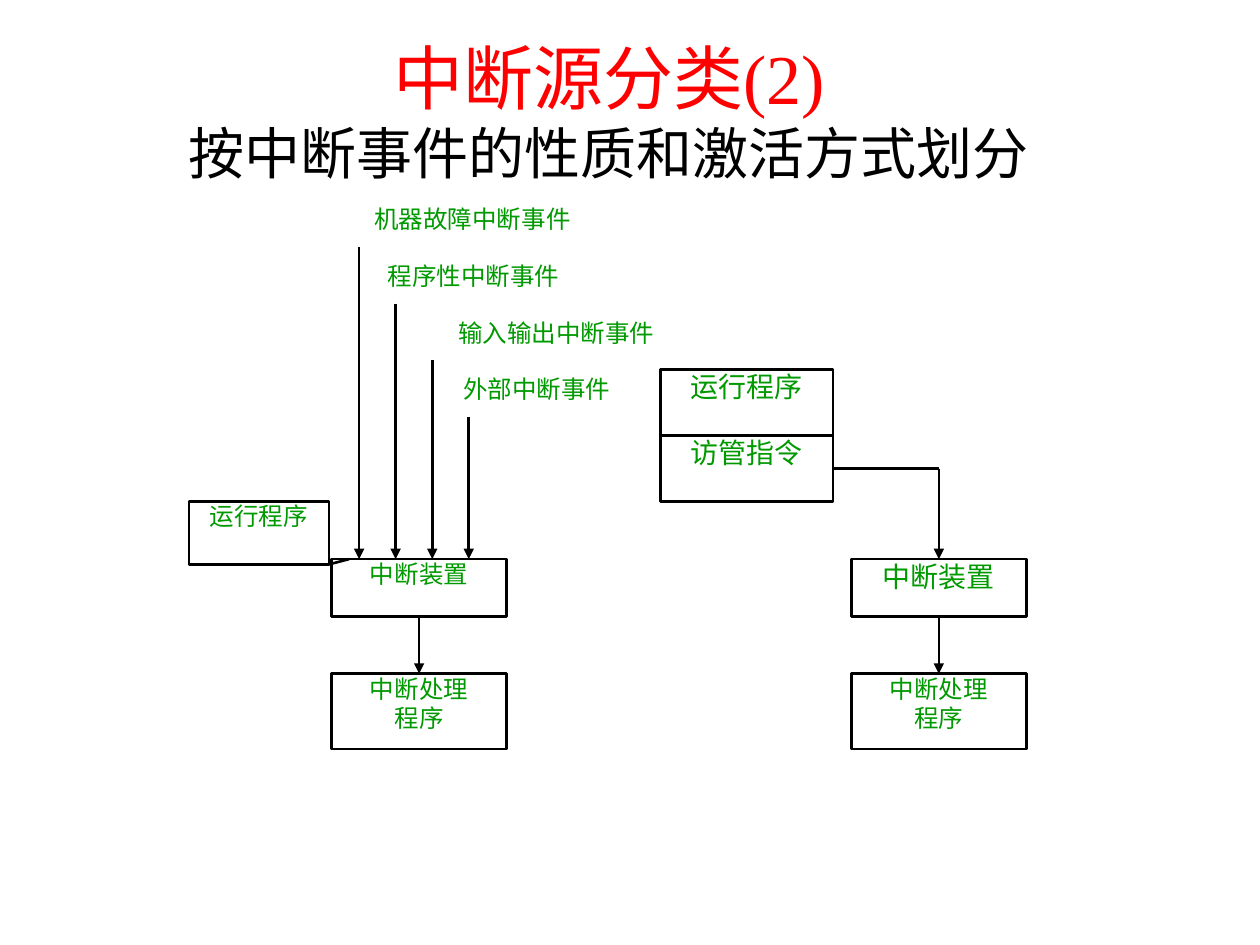
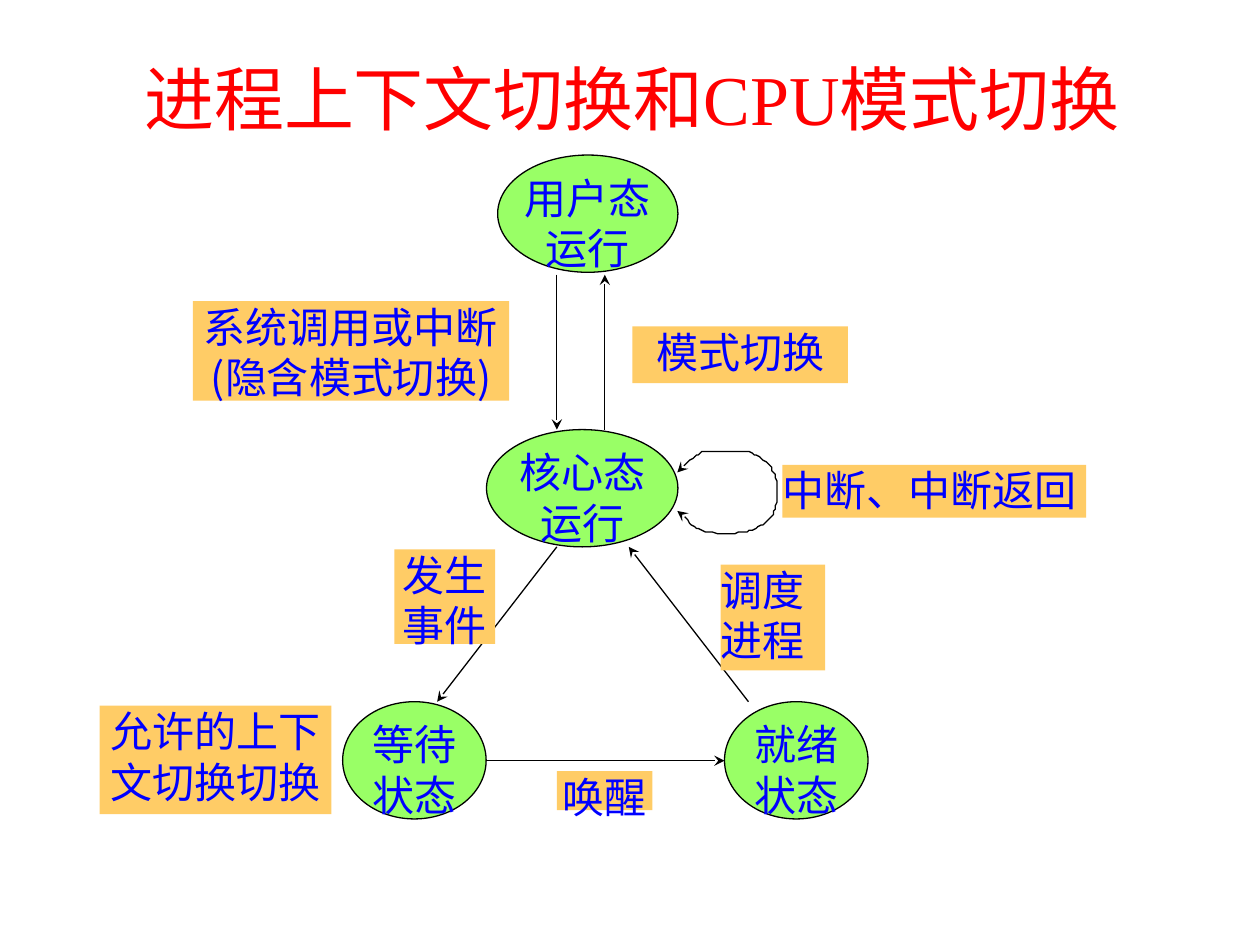
from copy import deepcopy
from dataclasses import dataclass

from pptx import Presentation
from pptx.dml.color import RGBColor
from pptx.enum.shapes import MSO_CONNECTOR as Connector, MSO_SHAPE as Preset
from pptx.enum.text import MSO_ANCHOR as Anchor, MSO_AUTO_SIZE as AutoSize, PP_ALIGN as Align
from pptx.oxml.ns import qn
from pptx.util import Pt

RED = RGBColor(0xFF, 0x00, 0x00)
BLACK = RGBColor(0x00, 0x00, 0x00)
BLUE = RGBColor(0x00, 0x00, 0xFF)
GREEN = RGBColor(0x00, 0x99, 0x00)
LIME = RGBColor(0x99, 0xFF, 0x66)
AMBER = RGBColor(0xFF, 0xCC, 0x66)

TITLE_FONT = "Times New Roman"
TITLE_LAYOUT = 5
TOP, LEFT, BOTTOM, RIGHT = range(4)
CURVE_STEPS = 12


@dataclass
class Style:
    font: str
    size: float
    color: RGBColor
    line_width: float
    arrowhead: str


def set_font(span, name, size, color):
    for key, value in {"name": name, "size": Pt(size)}.items():
        setattr(span.font, key, value)
    span.font.color.rgb = color
    if name != TITLE_FONT:
        props = span._r.get_or_add_rPr()
        east_asian = props.makeelement(qn("a:ea"), {"typeface": name})
        props.find(qn("a:latin")).addnext(east_asian)


def set_frame(frame, anchor, margin):
    formats = {"word_wrap": True, "auto_size": AutoSize.NONE, "vertical_anchor": anchor,
               "margin_left": margin, "margin_right": margin,
               "margin_top": margin, "margin_bottom": margin}
    for key, value in formats.items():
        setattr(frame, key, value)


def bezier(start, first, second, end):
    """Yield points along a cubic curve, leaving out its start."""
    for step in range(1, CURVE_STEPS + 1):
        t = step / CURVE_STEPS
        weights = ((1 - t) ** 3, 3 * t * (1 - t) ** 2, 3 * t * t * (1 - t), t ** 3)
        corners = (start, first, second, end)
        yield tuple(sum(w * c[axis] for w, c in zip(weights, corners)) for axis in (0, 1))


class Diagram:
    def __init__(self, deck, style):
        self.style = style
        self.page = deck.slides.add_slide(deck.slide_layouts[TITLE_LAYOUT])
        self.shapes = self.page.shapes

    def title(self, at, *lines):
        """Fill the title with lines of (text, size, colour)."""
        box = self.shapes.title
        box.left, box.top, box.width, box.height = map(Pt, at)
        set_frame(box.text_frame, Anchor.MIDDLE, Pt(3.6))
        para = box.text_frame.paragraphs[0]
        para.alignment = Align.CENTER
        for number, (text, size, color) in enumerate(lines):
            if number:
                para.add_line_break()
                line_break = para._p.findall(qn("a:br"))[-1]
                line_break.append(deepcopy(span._r.get_or_add_rPr()))
            span = para.add_run()
            span.text = text
            set_font(span, TITLE_FONT, size, color)

    def set_text(self, box, text, size=None, align=Align.CENTER):
        set_frame(box.text_frame, Anchor.TOP, 0)
        box.text_frame.text = text
        for para in box.text_frame.paragraphs:
            para.alignment = align
            for span in para.runs:
                set_font(span, self.style.font, size or self.style.size, self.style.color)

    def label(self, at, text):
        self.set_text(self.shapes.add_textbox(*map(Pt, at)), text)

    def box(self, at, text, preset=Preset.RECTANGLE, fill=None, outlined=True,
            size=None, align=Align.CENTER):
        box = self.shapes.add_shape(preset, *map(Pt, at))
        self.paint(box, fill, outlined)
        self.set_text(box, text, size, align)
        return box

    def paint(self, shape, fill=None, outlined=True):
        shape.shadow.inherit = False
        if fill is None:
            shape.fill.background()
        else:
            shape.fill.solid()
            shape.fill.fore_color.rgb = fill
        if outlined:
            self.stroke(shape)
        else:
            shape.line.fill.background()

    def stroke(self, shape, ends=()):
        """Draw the line in black, with arrowheads at the named ends."""
        shape.line.color.rgb = BLACK
        shape.line.width = Pt(self.style.line_width)
        line = shape.line._get_or_add_ln()
        for end in ends:
            line.append(line.makeelement(qn(f"a:{end}"), {"type": self.style.arrowhead}))

    def line(self, begin, end, ends=()):
        """Join two ends, each a point or a (box, side) pair."""
        joined = [not isinstance(place[0], (int, float)) for place in (begin, end)]
        points = [(0, 0) if join else place for join, place in zip(joined, (begin, end))]
        line = self.shapes.add_connector(
            Connector.STRAIGHT, *(Pt(value) for point in points for value in point))
        if joined[0]:
            line.begin_connect(*begin)
        if joined[1]:
            line.end_connect(*end)
        self.stroke(line, ends)
        props = line._element.spPr
        props.append(props.makeelement(qn("a:effectLst"), {}))

    def arrow(self, begin, end):
        self.line(begin, end, ["tailEnd"])

    def curve(self, start, segments):
        """Draw an open curve with an arrowhead at both ends."""
        builder = self.shapes.build_freeform(*start, scale=Pt(1))
        for first, second, end in segments:
            builder.add_line_segments(list(bezier(start, first, second, end)), close=False)
            start = end
        shape = builder.convert_to_shape()
        self.paint(shape)
        self.stroke(shape, ["headEnd", "tailEnd"])


def add_interrupt_sources(deck):
    diagram = Diagram(deck, Style("Noto Sans CJK SC", 14, GREEN, 1.5, "triangle"))
    diagram.title((42, 19.5, 612, 86.5), ("中断源分类(2)", 40, RED),
                  ("按中断事件的性质和激活方式划分", 32, BLACK))

    device_top, handler_top, box_width = 319.5, 385, 100
    diagram.box((108, 286.5, 80, 36), "运行程序")
    devices = []
    for left, size in ((189.5, 14), (486.5, 16)):
        device = diagram.box((left, device_top, box_width, 33), "中断装置", size=size)
        handler = diagram.box((left, handler_top, box_width, 43), "中断处理\n程序")
        diagram.arrow((device, BOTTOM), (handler, TOP))
        devices.append(device)

    events = (("机器故障中断事件", 193, 154), ("程序性中断事件", 203, 135.5),
              ("输入输出中断事件", 231, 174), ("外部中断事件", 252, 109.5))
    for number, (event, left, width) in enumerate(events):
        drop = 32.5 * number
        diagram.label((left, 116.5 + drop, width, 28), event)
        event_x = 205.2 + 20.9 * number
        diagram.arrow((event_x, 141 + drop), (event_x, device_top))
    diagram.line((199.5, device_top), (188, 322.5))

    call_top, call_height = 211, 37.5
    for number, text in enumerate(("运行程序", "访管指令")):
        call = diagram.box((377.3, call_top + 38 * number, 98.7, call_height), text, size=16)
    corner = (486.5 + box_width / 2, call_top + 38 + call_height / 2)
    diagram.line((call, RIGHT), corner)
    diagram.arrow(corner, (devices[1], TOP))


def add_context_switch(deck):
    diagram = Diagram(deck, Style("Noto Sans CJK JP", 24, BLUE, 0.75, "stealth"))
    diagram.title((25, 31.5, 672, 48.5), ("进程上下文切换和CPU模式切换", 40, RED))

    user_bottom, core_top, core_bottom, low_top = 157, 245.5, 312.5, 401
    states = (("用户态\n运行", 284.4, 88.6, 103), ("核心态\n运行", 278, core_top, 109.4),
              ("等待\n状态", 195.8, low_top, 82), ("就绪\n状态", 414, low_top, 82))
    for text, left, top, width in states:
        diagram.box((left, top, width, 67), text, Preset.OVAL, LIME)

    transitions = (((318.2, user_bottom), (318.2, core_top)),
                   ((345.6, core_top), (345.6, user_bottom)),
                   ((318.2, core_bottom), (249.8, low_top)),
                   ((427.7, low_top), (359.3, core_bottom)),
                   ((277.8, 434.7), (414, 434.7)))
    for begin, end in transitions:
        diagram.arrow(begin, end)

    diagram.curve((387.4, 270), (
        ((392.4, 265), (396.7, 260.6), (401, 258.5)),
        ((406.1, 256.3), (410.4, 258.5), (414.7, 258.5)),
        ((419.8, 258.5), (424.1, 256.3), (428.4, 258.5)),
        ((433.4, 260.6), (439.9, 264.2), (442.1, 270)),
        ((445, 275), (445, 286.6), (442.1, 292.3)),
        ((439.9, 297.4), (435.6, 301), (428.4, 303.1)),
        ((421.9, 305.3), (408.2, 305.3), (401, 303.1)),
        ((394.6, 301), (390.2, 293.8), (387.4, 292.3))))

    notes = (("系统调用或中断(隐含模式切换)", (110.2, 172, 180.7, 57), Align.CENTER),
             ("发生\n事件", (225.4, 314, 57.6, 54), Align.CENTER),
             ("唤醒", (318.2, 440.6, 54.7, 22.3), Align.CENTER),
             ("调度\n进程", (411.8, 322.6, 59.8, 60.5), Align.JUSTIFY),
             ("中断、中断返回", (447.1, 265.7, 173.5, 30.2), Align.LEFT),
             ("允许的上下文切换切换", (56.9, 403.2, 132.5, 62), Align.CENTER),
             ("模式切换", (361.4, 186.5, 123.1, 32.4), Align.CENTER))
    for text, at, align in notes:
        diagram.box(at, text, fill=AMBER, outlined=False, align=align)


def main():
    deck = Presentation()
    deck.slide_width, deck.slide_height = Pt(720), Pt(540)
    add_interrupt_sources(deck)
    add_context_switch(deck)
    deck.save("out.pptx")


if __name__ == "__main__":
    main()
